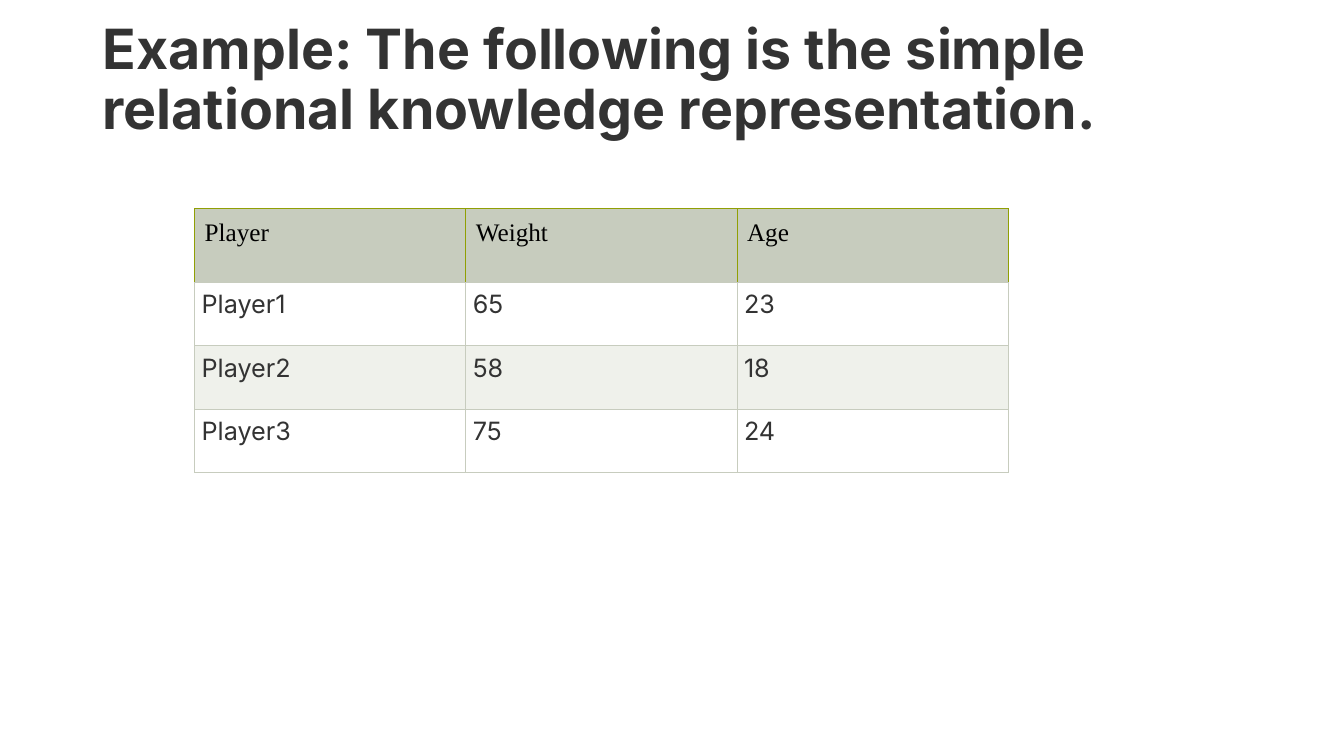
from pptx import Presentation
from pptx.dml.color import RGBColor
from pptx.enum.text import MSO_ANCHOR, PP_ALIGN
from pptx.oxml import parse_xml
from pptx.oxml.ns import nsdecls
from pptx.util import Inches, Pt


class Theme:
    heading_font = "Times New Roman"
    body_font = "Inter"
    text = "333333"
    heading_text = "000000"
    heading_fill = "C7CCBE"
    heading_line = "909F04"
    grid = "C7CCBE"
    row_fills = ("FFFFFF", "EFF1EB")
    title_size = 39.6
    table_size = 18
    line_width = 0.6


def write(tf, text, size=Theme.table_size, font=Theme.body_font,
          color=Theme.text, bold=False, align=PP_ALIGN.LEFT, spacing=1.0):
    p = tf.paragraphs[0]
    p.alignment = align
    p.line_spacing = spacing
    r = p.add_run()
    r.text = text
    r.font.size = Pt(size)
    r.font.name = font
    r.font.bold = bold
    r.font.color.rgb = RGBColor.from_string(color)


def style_cell(cell, fill, margin, borders):
    cell.margin_left = cell.margin_right = Inches(margin)
    cell.margin_top = cell.margin_bottom = Inches(margin)
    tcPr = cell._tc.get_or_add_tcPr()
    for side, color in borders.items():
        tcPr.append(parse_xml(
            f'<a:ln{side} {nsdecls("a")} w="{Pt(Theme.line_width)}"><a:solidFill>'
            f'<a:srgbClr val="{color}"/></a:solidFill></a:ln{side}>'))
    cell.fill.solid()
    cell.fill.fore_color.rgb = RGBColor.from_string(fill)


prs = Presentation()
prs.slide_width, prs.slide_height = Inches(13.33), Inches(7.5)
s = prs.slides.add_slide(prs.slide_layouts[6])

# Title, raised inside its box by a deep bottom inset
title = s.shapes.add_textbox(Inches(0.92), Inches(0.4), Inches(11.5), Inches(1.45))
tf = title.text_frame
tf.word_wrap = True
tf.vertical_anchor = MSO_ANCHOR.MIDDLE
tf.margin_bottom = Inches(0.68)
write(tf, "Example: The following is the simple relational knowledge representation.",
      size=Theme.title_size, bold=True, spacing=0.9)

# Player table
players = [
    ("Player", "Weight", "Age"),
    ("Player1", "65", "23"),
    ("Player2", "58", "18"),
    ("Player3", "75", "24"),
]
row_heights = (0.73, 0.63, 0.63, 0.63)
table = s.shapes.add_table(len(players), len(players[0]), Inches(1.93), Inches(2.07),
                           Inches(8.07), Inches(sum(row_heights))).table
for column in table.columns:
    column.width = Inches(2.69)

body_borders = dict.fromkeys("LRTB", Theme.grid)
heading_borders = dict.fromkeys("LRT", Theme.heading_line) | {"B": Theme.grid}

for i, (values, height) in enumerate(zip(players, row_heights)):
    table.rows[i].height = Inches(height)
    for j, value in enumerate(values):
        cell = table.cell(i, j)
        if i == 0:
            style_cell(cell, Theme.heading_fill, 0.1, heading_borders)
            write(cell.text_frame, value, font=Theme.heading_font,
                  color=Theme.heading_text)
        else:
            style_cell(cell, Theme.row_fills[(i - 1) % 2], 0.07, body_borders)
            write(cell.text_frame, value, align=PP_ALIGN.JUSTIFY)

prs.save("out.pptx")
